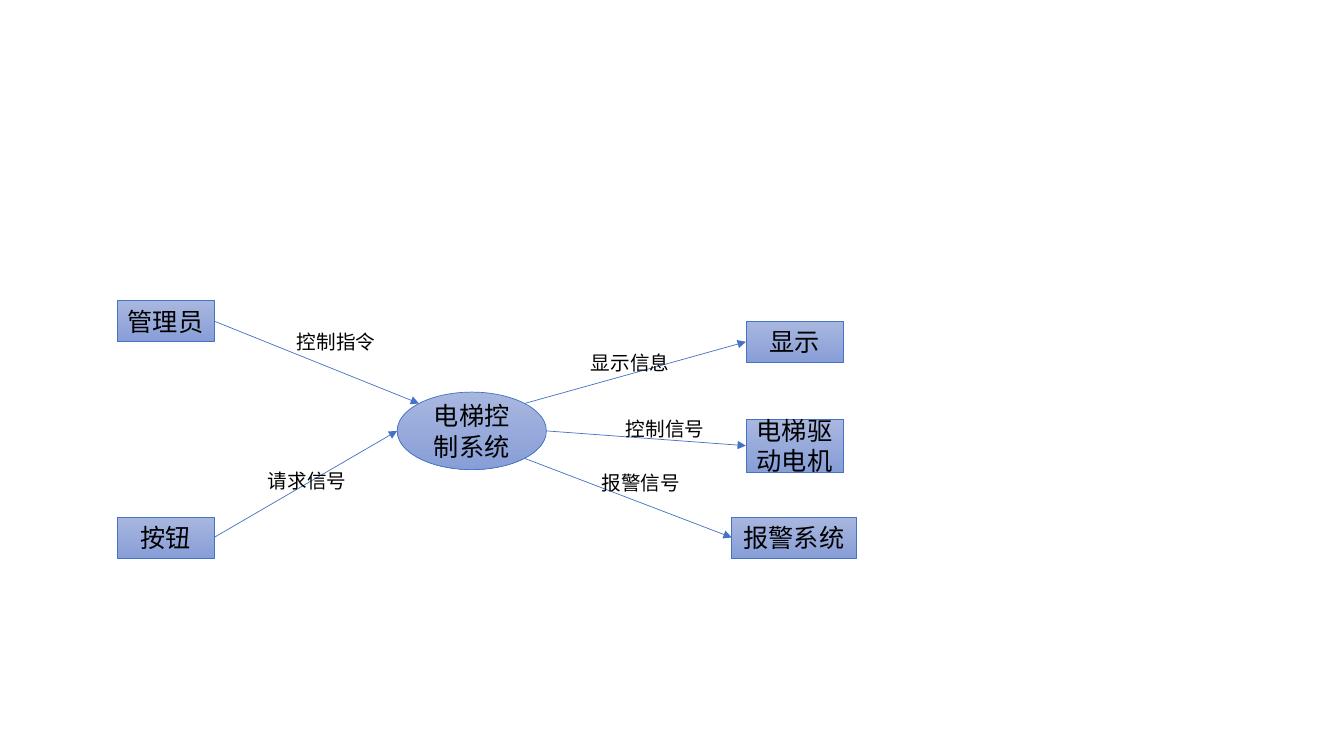
import math

import pptx
import pptx.dml.color
import pptx.enum.dml
import pptx.enum.shapes
import pptx.enum.text
import pptx.oxml
import pptx.oxml.ns
import pptx.util

Pt = pptx.util.Pt
SHAPES = pptx.enum.shapes.MSO_SHAPE
FONT = "Noto Sans CJK SC"
COLORS = {"top": "A8B7DF", "bottom": "889ED7", "line": "4472C4", "text": "000000"}
LEFT_SIDE, RIGHT_SIDE = 1, 3

ENTITY_W, ENTITY_H = 69.4, 29.5
INPUT_X, OUTPUT_X = 83.5, 532.8
SYSTEM_X, SYSTEM_Y, SYSTEM_W, SYSTEM_H = 283.7, 280.1, 106.6, 55.4


def rgb(name):
    return pptx.dml.color.RGBColor.from_string(COLORS[name])


def add_oxml(parent, tag, **attributes):
    child = pptx.oxml.parse_xml(f"<{tag} {pptx.oxml.ns.nsdecls('a')}/>")
    for key, value in attributes.items():
        child.set(key, value)
    parent.append(child)


def write_text(frame, text, size, align=None, anchor=None, wrap=True):
    frame.word_wrap = wrap
    frame.vertical_anchor = anchor
    paragraph = frame.paragraphs[0]
    paragraph.alignment = align
    run = paragraph.add_run()
    run.text = text
    run.font.size = Pt(size)
    run.font.name = FONT
    run.font.color.rgb = rgb("text")
    add_oxml(run.font._element, "a:ea", typeface=FONT)


def style_line(line):
    line.color.rgb = rgb("line")
    line.width = Pt(0.5)


def add_node(slide, text, x, y, width=ENTITY_W, height=ENTITY_H, kind=SHAPES.RECTANGLE):
    node = slide.shapes.add_shape(kind, Pt(x), Pt(y), Pt(width), Pt(height))
    node.shadow.inherit = False
    node.fill.gradient()
    node.fill.gradient_angle = 270
    for stop, name in zip(node.fill.gradient_stops, ("top", "bottom")):
        stop.color.rgb = rgb(name)
    style_line(node.line)
    write_text(node.text_frame, text, 18,
               align=pptx.enum.text.PP_ALIGN.CENTER,
               anchor=pptx.enum.text.MSO_ANCHOR.MIDDLE)
    return node


def system_edge(degrees):
    """Point on the system's ellipse, clockwise from its right end."""
    angle = math.radians(degrees)
    return (Pt(SYSTEM_X + SYSTEM_W / 2 * (1 + math.cos(angle))),
            Pt(SYSTEM_Y + SYSTEM_H / 2 * (1 + math.sin(angle))))


def add_flow(slide, entity, degrees, incoming):
    """Arrow between an entity and the system's edge."""
    edge = system_edge(degrees)
    flow = slide.shapes.add_connector(
        pptx.enum.shapes.MSO_CONNECTOR.STRAIGHT, *edge, *edge)
    if incoming:
        flow.begin_connect(entity, RIGHT_SIDE)
    else:
        flow.end_connect(entity, LEFT_SIDE)
    style_line(flow.line)
    add_oxml(flow.line._get_or_add_ln(), "a:tailEnd", type="triangle")
    add_oxml(flow._element.spPr, "a:effectLst")


def add_label(slide, text, x, y):
    label = slide.shapes.add_textbox(Pt(x), Pt(y), Pt(71), Pt(24.5))
    write_text(label.text_frame, text, 14, wrap=False)
    label.text_frame.auto_size = pptx.enum.text.MSO_AUTO_SIZE.SHAPE_TO_FIT_TEXT


def main():
    deck = pptx.Presentation()
    deck.slide_width, deck.slide_height = Pt(960), Pt(540)
    slide = deck.slides.add_slide(deck.slide_layouts[6])

    manager = add_node(slide, "管理员", INPUT_X, 214.6)
    button = add_node(slide, "按钮", INPUT_X, 369.2)
    display = add_node(slide, "显示", OUTPUT_X, 229.4)
    motor = add_node(slide, "电梯驱动电机", OUTPUT_X, 299.6, height=37.5)
    alarm = add_node(slide, "报警系统", 522.7, 369.2, width=88.8)
    add_node(slide, "电梯控制系统", SYSTEM_X, SYSTEM_Y, SYSTEM_W, SYSTEM_H, SHAPES.OVAL)

    for entity, degrees, incoming in (
        (manager, 225, True),
        (button, 180, True),
        (display, -45, False),
        (motor, 0, False),
        (alarm, 45, False),
    ):
        add_flow(slide, entity, degrees, incoming)

    for text, x, y in (
        ("控制指令", 205, 231.8),
        ("请求信号", 184.3, 331.2),
        ("显示信息", 414.9, 246.8),
        ("控制信号", 439.9, 294),
        ("报警信号", 422.6, 332.5),
    ):
        add_label(slide, text, x, y)

    deck.save("out.pptx")


if __name__ == "__main__":
    main()
